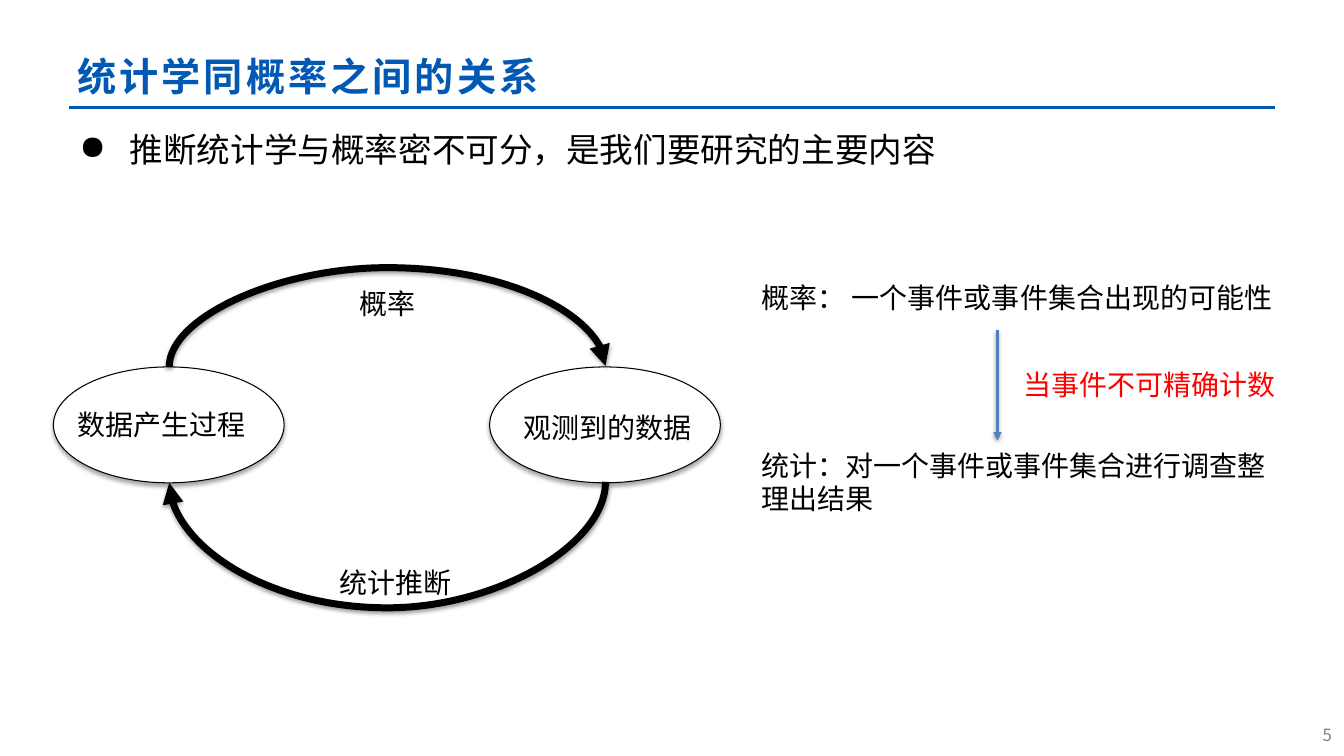
from lxml import etree
from pptx import Presentation
from pptx import util as u
from pptx.dml.color import RGBColor
from pptx.enum import shapes, text
from pptx.oxml import parse_xml
from pptx.oxml.ns import qn

COLORS = {"title": "0259B3", "ink": "000000", "paper": "FFFFFF",
          "arrow": "4F81BD", "note": "FF0000", "number": "808080"}
NS = "http://schemas.openxmlformats.org/drawingml/2006/main"


class Deck:
    font = "Noto Sans CJK SC"

    def __init__(self, width, height):
        self.prs = Presentation()
        self.prs.slide_width = u.Inches(width)
        self.prs.slide_height = u.Inches(height)
        self.s = self.prs.slides.add_slide(self.prs.slide_layouts[6])

    def color(self, name):
        return RGBColor.from_string(COLORS[name])

    def shadow(self, sp, alpha=None, dist=1.6):
        effects = etree.SubElement(sp._element.spPr, qn("a:effectLst"))
        if alpha:
            effects.append(parse_xml(
                f'<a:outerShdw xmlns:a="{NS}" blurRad="{u.Pt(3.1)}" dist="{u.Pt(dist)}" '
                f'dir="5400000" rotWithShape="0"><a:srgbClr val="{COLORS["ink"]}">'
                f'<a:alpha val="{alpha * 1000}"/></a:srgbClr></a:outerShdw>'))

    def text(self, box, paragraphs, size=20, color="ink", bold=False, spacing=0,
             align=None, anchor=text.MSO_ANCHOR.TOP, wrap=True, gap=0,
             line=None, bullet=None):
        sp = self.s.shapes.add_textbox(*map(u.Inches, box))
        tf = sp.text_frame
        tf.word_wrap = wrap
        tf.vertical_anchor = anchor
        tf.text = "\n".join(paragraphs)
        for i, p in enumerate(tf.paragraphs):
            if align:
                p.alignment = align
            if line:
                p.line_spacing = line
            if i:
                p.space_before = u.Pt(gap)
            if bullet:
                pPr = p._p.get_or_add_pPr()
                pPr.set("marL", str(u.Inches(0.5)))
                pPr.set("indent", str(-u.Inches(0.5)))
                etree.SubElement(pPr, qn("a:buChar"), char=bullet)
            for r in p.runs:
                r.font.name = self.font
                r.font.size = u.Pt(size)
                r.font.bold = bold
                r.font.color.rgb = self.color(color)
                rPr = r._r.get_or_add_rPr()
                if spacing:
                    rPr.set("spc", str(int(spacing * 100)))
                etree.SubElement(rPr, qn("a:ea"), typeface=self.font)

    def ellipse(self, box):
        sp = self.s.shapes.add_shape(shapes.MSO_SHAPE.OVAL, *map(u.Inches, box))
        sp.fill.solid()
        sp.fill.fore_color.rgb = self.color("paper")
        sp.line.color.rgb = self.color("ink")
        sp.line.width = u.Pt(0.75)
        self.shadow(sp, 35, 1.8)

    def line(self, start, end, color, width, kind=shapes.MSO_CONNECTOR.STRAIGHT,
             arrow=True):
        sp = self.s.shapes.add_connector(kind, *map(u.Inches, (*start, *end)))
        sp.line.color.rgb = self.color(color)
        sp.line.width = u.Pt(width)
        if arrow:
            etree.SubElement(sp.line._get_or_add_ln(), qn("a:tailEnd"), type="triangle")
        self.shadow(sp, 38 if arrow else None)
        return sp

    def arc(self, start, end, rise):
        sp = self.line(start, end, "ink", 5, shapes.MSO_CONNECTOR.CURVE)
        spPr = sp._element.spPr
        spPr.find(qn("a:xfrm")).set("rot", "5400000")
        guides = spPr.find(qn("a:prstGeom")).get_or_add_avLst()
        ratio = round(rise / abs(end[0] - start[0]) * 100000)
        etree.SubElement(guides, qn("a:gd"), name="adj1", fmla=f"val {ratio}")


def main():
    d = Deck(13.34, 7.5)
    d.line((0.69, 1.07), (12.66, 1.07), "title", 2.25, arrow=False)
    d.text((0.67, 0.36, 12.01, 0.79), ["统计学同概率之间的关系"], 28, "title",
           bold=True, spacing=2.2, anchor=text.MSO_ANCHOR.MIDDLE)
    d.text((10.21, 7.11, 3.11, 0.35), ["5"], 12, "number",
           align=text.PP_ALIGN.RIGHT, anchor=text.MSO_ANCHOR.MIDDLE)
    d.text((0.69, 1.15, 11.97, 0.94), ["推断统计学与概率密不可分，是我们要研究的主要内容"],
           24, line=1.2, bullet="●")

    for left in (0.53, 4.86):
        d.ellipse((left, 3.64, 2.29, 1.15))
    d.arc((3.85, 5.8), (3.84, 1.47), 1)
    d.arc((3.84, 2.62), (3.85, 6.95), 1.27)
    for box, label in (((0.67, 3.99, 2.05, 0.44), "数据产生过程"),
                       ((3.47, 2.79, 1.38, 0.44), "概率"),
                       ((5.1, 4.02, 1.92, 0.44), "观测到的数据"),
                       ((3.27, 5.56, 1.68, 0.44), "统计推断")):
        d.text(box, [label])

    d.text((7.46, 2.73, 5.28, 2.46),
           ["概率： 一个事件或事件集合出现的可能性",
            "统计：对一个事件或事件集合进行调查整理出结果"], gap=96)
    d.line((9.9, 3.27), (9.9, 4.37), "arrow", 2)
    d.text((10.06, 3.6, 2.73, 0.44), ["当事件不可精确计数"], color="note", wrap=False)
    d.prs.save("out.pptx")


if __name__ == "__main__":
    main()
